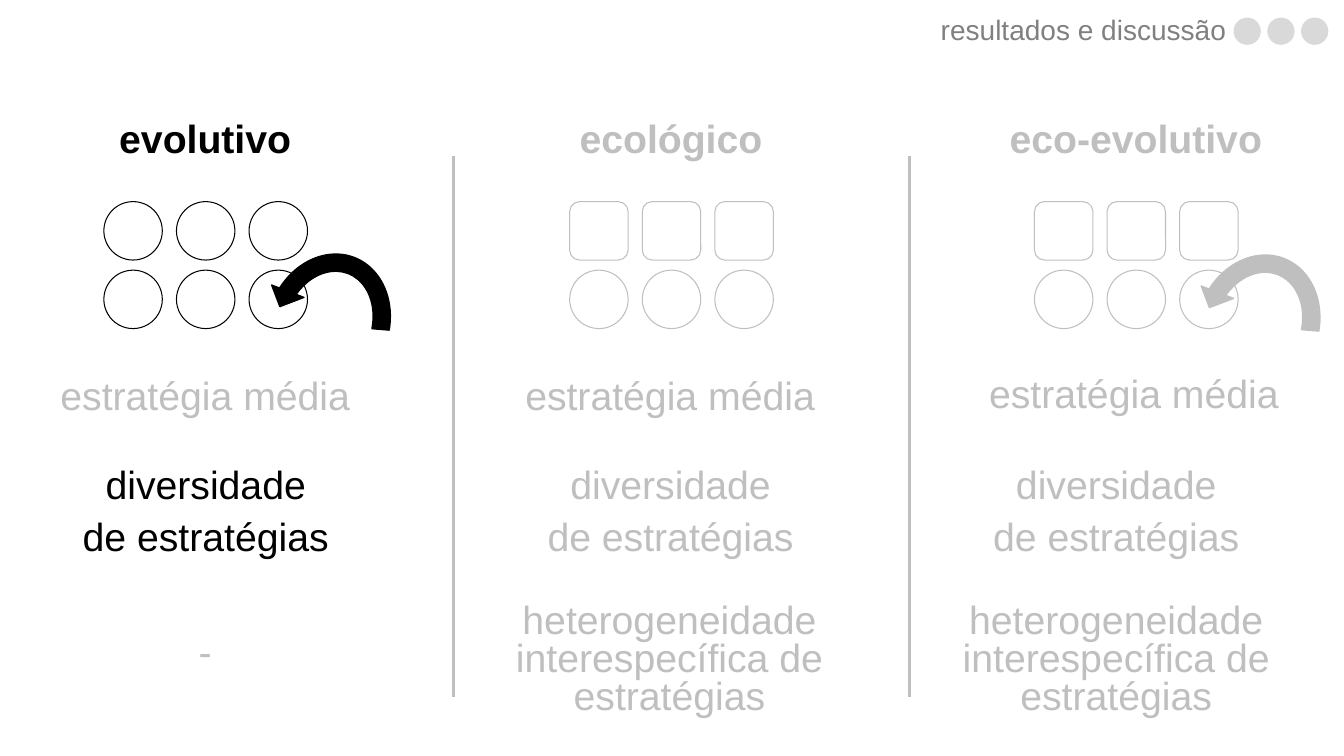
"""Builds the slide comparing evolutionary, ecological and eco-evolutionary results."""
import pptx
import pptx.dml.color
import pptx.enum.shapes
import pptx.enum.text
import pptx.oxml
import pptx.util
from pptx.util import Inches

SHAPE = pptx.enum.shapes.MSO_SHAPE
ALIGN = pptx.enum.text.PP_ALIGN
ANCHOR = pptx.enum.text.MSO_ANCHOR
BLACK, MUTED, PALE, GREY = "000000", "BFBFBF", "D9D9D9", "808080"


def color(hex_value):
    return pptx.dml.color.RGBColor.from_string(hex_value)


class Canvas:
    font = "Arial"

    def __init__(self, slide):
        self.shapes = slide.shapes

    def outline(self, kind, left, top, width, height, line, fill=None, weight=0):
        shape = self.shapes.add_shape(
            kind, Inches(left), Inches(top), Inches(width), Inches(height))
        shape.shadow.inherit = False
        if fill:
            shape.fill.solid()
            shape.fill.fore_color.rgb = color(fill)
        else:
            shape.fill.background()
        shape.line.color.rgb = color(line)
        shape.line.width = pptx.util.Pt(weight)
        return shape

    def individual(self, kind, left, top, line):
        shape = self.outline(kind, left, top, 0.58, 0.58, line)
        if kind == SHAPE.ROUNDED_RECTANGLE:
            shape.adjustments[0] = 0.17

    def arrow(self, left, top, tone):
        arrow = self.outline(SHAPE.CIRCULAR_ARROW, left, top, 1.37, 1.61, tone, tone, 1)
        for index, value in enumerate((0.125, 11.423, 204.577, 117.73, 0.125)):
            arrow.adjustments[index] = value
        arrow.rotation = 200.9
        arrow.element.spPr.get_or_add_xfrm().set("flipV", "1")

    def text(self, lines, left, top, width, height, tone, size=28, bold=False,
             align=ALIGN.CENTER, anchor=ANCHOR.TOP, spacing=0.9):
        box = self.shapes.add_textbox(
            Inches(left), Inches(top), Inches(width), Inches(height))
        frame = box.text_frame
        frame.word_wrap = True
        frame.vertical_anchor = anchor
        for index, line in enumerate(lines):
            paragraph = frame.add_paragraph() if index else frame.paragraphs[0]
            paragraph.alignment = align
            paragraph.line_spacing = spacing
            paragraph.space_before = pptx.util.Pt(10 if index else 0)
            run = paragraph.add_run()
            run.text = line
            run.font.name = self.font
            run.font.size = pptx.util.Pt(size)
            run.font.bold = bold
            run.font.color.rgb = color(tone)
        return box

    def divider(self, x, top, bottom):
        line = self.shapes.add_connector(
            pptx.enum.shapes.MSO_CONNECTOR.STRAIGHT,
            Inches(x), Inches(top), Inches(x), Inches(bottom))
        line.line.color.rgb = color(MUTED)
        line.line.width = pptx.util.Pt(2.25)
        line.element.spPr.append(pptx.oxml.parse_xml(
            '<a:effectLst xmlns:a="http://schemas.openxmlformats.org/drawingml/2006/main"/>'))

    def group(self, members):
        self.shapes.add_group_shape(members)


def main():
    deck = pptx.Presentation()
    deck.slide_width, deck.slide_height = Inches(13.33), Inches(7.5)
    canvas = Canvas(deck.slides.add_slide(deck.slide_layouts[6]))

    circle, square = SHAPE.OVAL, SHAPE.ROUNDED_RECTANGLE
    diversity = ["diversidade", "de estratégias"]
    heterogeneity = ["heterogeneidade interespecífica de estratégias"]
    models = [
        ("evolutivo", BLACK, circle, 1.03, 0.65, (0.28, 3.69), -0.5),
        ("ecológico", MUTED, square, 5.65, 5.27, (4.89, 3.69), 4.11),
        ("eco-evolutivo", MUTED, square, 10.26, 9.88, (9.49, 3.67), 8.53),
    ]
    for name, tone, top_kind, grid_left, title_left, mean_at, diversity_left in models:
        for row, kind in enumerate((top_kind, circle)):
            for column in range(3):
                canvas.individual(kind, grid_left + 0.72 * column, 2 + 0.68 * row, tone)
        canvas.text([name], title_left, 0.67, 2.77, 1.45, tone,
                    bold=True, anchor=ANCHOR.MIDDLE)
        canvas.text(["estratégia média"], *mean_at, 3.51, 0.85, MUTED)
        canvas.text(diversity, diversity_left, 4.61, 5.08, 1.04, tone, spacing=0.8)

    canvas.arrow(2.57, 2.42, BLACK)
    canvas.arrow(11.79, 2.43, MUTED)

    canvas.text(["-"], 0.28, 6.23, 3.51, 0.85, MUTED)
    for left in (4.26, 8.69):
        canvas.text(heterogeneity, left, 5.95, 4.76, 1.33, MUTED, spacing=0.8)

    for x in (4.5, 9.02):
        canvas.divider(x, 1.55, 6.91)

    section = canvas.text(["resultados e discussão"], 7.78, 0.08, 4.48, 0.47, GREY,
                          size=20, align=ALIGN.RIGHT, anchor=ANCHOR.MIDDLE)
    progress = [canvas.outline(circle, 12.24 + 0.335 * step, 0.18, 0.26, 0.26, PALE, PALE)
                for step in range(3)]
    canvas.group([section, *progress])

    deck.save("out.pptx")


if __name__ == "__main__":
    main()
